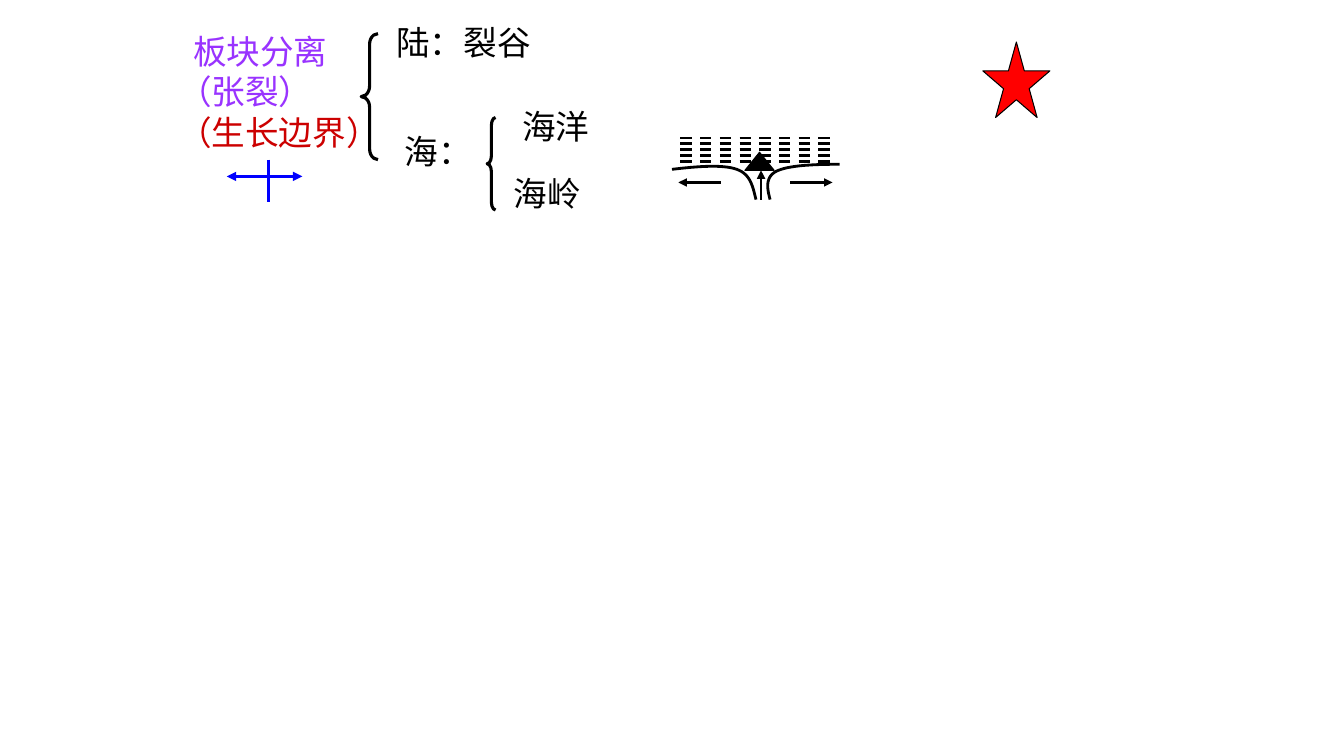
from dataclasses import dataclass

from lxml.etree import SubElement
from pptx import Presentation
from pptx.dml.color import RGBColor
from pptx.enum.dml import MSO_LINE
from pptx.enum.shapes import MSO_CONNECTOR, MSO_SHAPE
from pptx.enum.text import MSO_ANCHOR, MSO_AUTO_SIZE, PP_ALIGN
from pptx.oxml.ns import qn
from pptx.util import Emu, Inches, Pt


@dataclass(frozen=True)
class Theme:
    font: str = "Noto Sans CJK SC"
    text_size: Pt = Pt(24)
    line_pitch: Pt = Pt(29)
    thin: Pt = Pt(0.75)
    medium: Pt = Pt(2)
    thick: Pt = Pt(2.25)
    ink: RGBColor = RGBColor(0x00, 0x00, 0x00)
    purple: RGBColor = RGBColor(0x99, 0x33, 0xFF)
    dark_red: RGBColor = RGBColor(0xCC, 0x00, 0x00)
    red: RGBColor = RGBColor(0xFF, 0x00, 0x00)
    blue: RGBColor = RGBColor(0x00, 0x00, 0xFF)


THEME = Theme()
COLUMNS, ROWS = 160, 90
SLIDE_HEIGHT = Inches(7.5)
CELL = SLIDE_HEIGHT // ROWS


def grid(*values):
    return [Emu(round(value * CELL)) for value in values]


def format_paragraph(paragraph, color):
    paragraph.alignment = PP_ALIGN.LEFT
    paragraph.line_spacing = THEME.line_pitch
    font = paragraph.font
    font.name = THEME.font
    font.size = THEME.text_size
    font.color.rgb = color
    properties = paragraph._p.pPr.find(qn("a:defRPr"))
    SubElement(properties, qn("a:ea")).set("typeface", THEME.font)


def fill_text(shape, lines):
    frame = shape.text_frame
    frame.word_wrap = True
    frame.auto_size = MSO_AUTO_SIZE.NONE
    frame.vertical_anchor = MSO_ANCHOR.TOP
    frame.text = "\n".join(text for text, _ in lines)
    for paragraph, (_, color) in zip(frame.paragraphs, lines):
        format_paragraph(paragraph, color)


def add_heading(slide):
    title = slide.shapes.title
    title.left, title.top, title.width, title.height = grid(20, 3, 27, 15.75)
    fill_text(title, [("板块分离 （张裂）", THEME.purple), ("（生长边界）", THEME.dark_red)])
    first = title.text_frame.paragraphs[0]._p.pPr
    first.set("marL", "0")
    first.set("indent", str(Inches(0.15)))


def add_label(shapes, text, *box):
    fill_text(shapes.add_textbox(*grid(*box)), [(text, THEME.ink)])


def style_outline(shape, width, fill=None):
    shape.shadow.inherit = False
    shape.line.color.rgb = THEME.ink
    shape.line.width = width
    if fill is None:
        shape.fill.background()
    else:
        shape.fill.solid()
        shape.fill.fore_color.rgb = fill


def add_figure(shapes, kind, box, width, fill=None):
    shape = shapes.add_shape(kind, *grid(*box))
    style_outline(shape, width, fill)
    return shape


def add_brace(shapes, box, curl):
    brace = add_figure(shapes, MSO_SHAPE.LEFT_BRACE, box, THEME.thick)
    brace.adjustments[0] = curl
    brace.adjustments[1] = 0.5


def add_line(shapes, ends, color, width, arrow=False, dashed=False):
    connector = shapes.add_connector(MSO_CONNECTOR.STRAIGHT, *grid(*ends))
    connector.line.color.rgb = color
    connector.line.width = width
    if dashed:
        connector.line.dash_style = MSO_LINE.DASH
    properties = connector._element.spPr
    if arrow:
        SubElement(properties.find(qn("a:ln")), qn("a:tailEnd")).set("type", "triangle")
    SubElement(properties, qn("a:effectLst"))


def bezier(start, first, second, end, steps=16):
    for step in range(1, steps + 1):
        t = step / steps
        weights = ((1 - t) ** 3, 3 * t * (1 - t) ** 2, 3 * t * t * (1 - t), t ** 3)
        yield tuple(
            sum(weight * value for weight, value in zip(weights, axis))
            for axis in zip(start, first, second, end)
        )


def add_curve(shapes, knots):
    builder = shapes.build_freeform(*grid(*knots[0]))
    for index in range(0, len(knots) - 1, 3):
        points = [grid(*point) for point in bezier(*knots[index:index + 4])]
        builder.add_line_segments(points, close=False)
    style_outline(builder.convert_to_shape(), THEME.medium)


def add_divergence_symbol(shapes):
    add_line(shapes, (32, 19, 32, 24), THEME.blue, THEME.thick)
    for tip in (36, 27):
        add_line(shapes, (32, 21, tip, 21), THEME.blue, THEME.thick, arrow=True)


def add_ridge_section(slide):
    shapes = slide.shapes.add_group_shape().shapes
    left_plate = [(80, 20.16), (83.04, 19.8), (86.04, 19.56), (87.72, 20.16),
                  (89.4, 20.76), (89.64, 22.32), (90, 23.76)]
    right_plate = [(99.96, 19.56), (96.84, 19.56), (93.84, 19.68), (92.4, 20.4),
                   (91.08, 21.12), (91.32, 22.44), (91.68, 23.76)]
    for plate in (left_plate, right_plate):
        add_curve(shapes, plate)
    for layer in range(5):
        depth = 16.44 + 0.69 * layer
        add_line(shapes, (81, depth, 99.2, depth), THEME.ink, THEME.medium, dashed=True)
    for ends in (
        (85.8, 21.72, 80.76, 21.72),
        (94.08, 21.72, 99.12, 21.72),
        (90.6, 23.76, 90.6, 20.28),
    ):
        add_line(shapes, ends, THEME.ink, THEME.medium, arrow=True)
    add_figure(shapes, MSO_SHAPE.ISOSCELES_TRIANGLE, (88.68, 18.12, 3.48, 2.16),
               THEME.thin, THEME.ink)


def main():
    presentation = Presentation()
    presentation.slide_width = CELL * COLUMNS
    presentation.slide_height = SLIDE_HEIGHT
    slide = presentation.slides.add_slide(presentation.slide_layouts.get_by_name("Title Only"))
    shapes = slide.shapes
    add_heading(slide)
    add_divergence_symbol(shapes)
    add_brace(shapes, (43, 4, 2, 15), 0.625)
    add_label(shapes, "陆：裂谷", 46, 2, 90, 6)
    add_label(shapes, "海：", 47, 15, 13, 6)
    add_brace(shapes, (58, 14, 1, 11), 0.92)
    add_label(shapes, "海洋", 61, 12, 13, 6)
    add_label(shapes, "海岭", 60, 20, 14, 6)
    add_figure(shapes, MSO_SHAPE.STAR_5_POINT, (117, 5, 8, 9), THEME.thin, THEME.red)
    add_ridge_section(slide)
    presentation.save("out.pptx")


if __name__ == "__main__":
    main()
